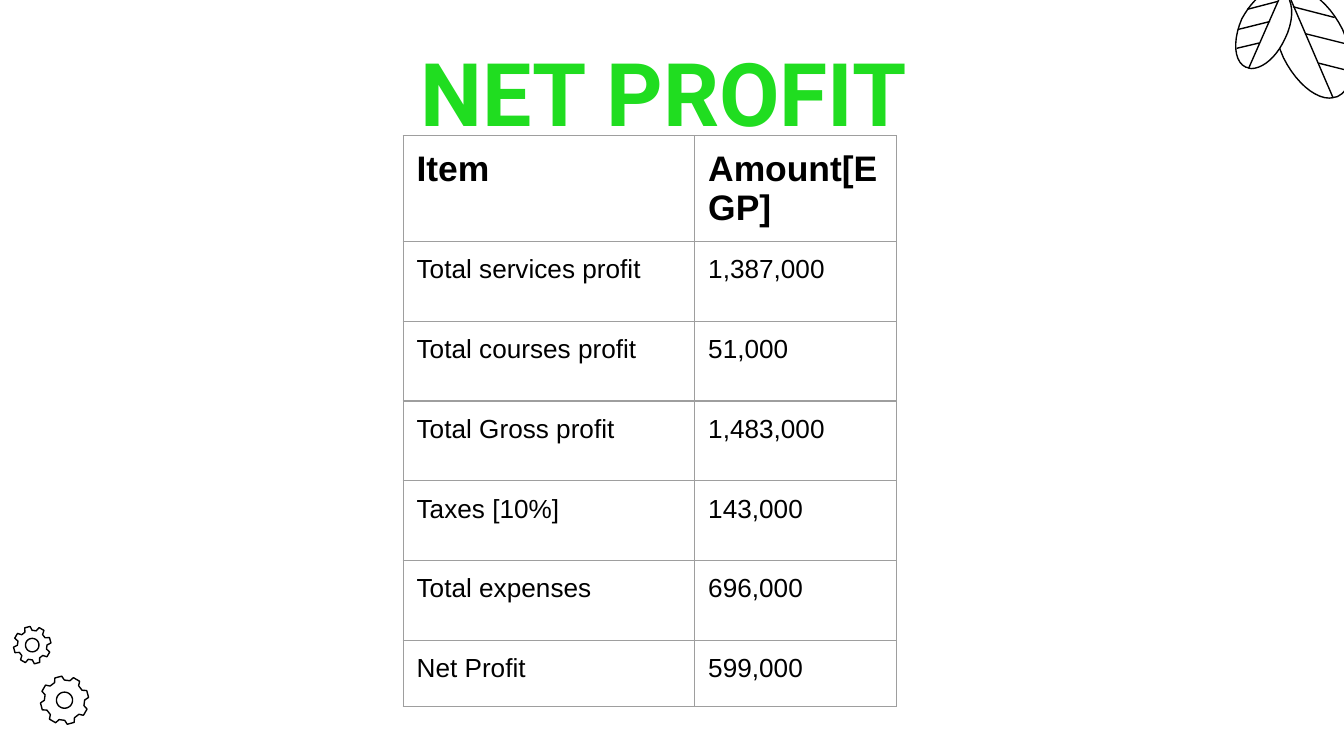
from math import cos, radians, sin

from lxml.etree import SubElement
from pptx import Presentation
from pptx.dml.color import RGBColor
from pptx.enum.shapes import MSO_CONNECTOR
from pptx.enum.text import MSO_ANCHOR, PP_ALIGN
from pptx.oxml.ns import qn
from pptx.util import Inches, Pt

# Content
TITLE = "NET PROFIT"
ROWS = [
    ("Item", "Amount[EGP]"),
    ("Total services profit", "1,387,000"),
    ("Total courses profit", "51,000"),
    ("Total Gross profit", "1,483,000"),
    ("Taxes [10%]", "143,000"),
    ("Total expenses", "696,000"),
    ("Net Profit", "599,000"),
]
COLUMN_WIDTHS = [2.17, 1.5]
ROW_HEIGHTS = [Inches(0.53)] + [Pt(42.75)] * 5 + [Inches(0.49)]
COLORS = {"title": "20DD20", "text": "000000", "border": "9E9E9E",
          "outline": "000000", "leaf": "FFFFFF"}

# Leaf outlines are a start point and Bezier curves; veins are point pairs
LEAVES = [
    {"start": (9.89, 0.73),
     "curves": [((9.91, 0.73), (9.94, 0.72), (9.95, 0.72)),
                ((10.08, 0.66), (10.09, 0.44), (9.99, 0.22)),
                ((9.9, 0.04), (9.76, -0.08), (9.65, -0.08)),
                ((9.63, -0.08), (9.61, -0.07), (9.59, -0.06)),
                ((9.46, 0), (9.45, 0.21), (9.55, 0.43)),
                ((9.64, 0.61), (9.78, 0.73), (9.89, 0.73))],
     "veins": [((9.62, 0.05), (9.93, 0.13)), ((9.71, 0.25), (10.03, 0.33)),
               ((9.81, 0.47), (10.05, 0.53)), ((9.92, 0.73), (9.58, -0.06))]},
    {"start": (9.31, 0.51),
     "curves": [((9.3, 0.51), (9.28, 0.5), (9.27, 0.5)),
                ((9.18, 0.46), (9.17, 0.3), (9.24, 0.14)),
                ((9.31, 0.01), (9.41, -0.08), (9.49, -0.08)),
                ((9.51, -0.08), (9.52, -0.07), (9.54, -0.07)),
                ((9.62, -0.02), (9.64, 0.13), (9.56, 0.29)),
                ((9.5, 0.42), (9.4, 0.51), (9.31, 0.51))],
     "veins": [((9.51, 0.01), (9.28, 0.07)), ((9.45, 0.16), (9.21, 0.22)),
               ((9.37, 0.32), (9.2, 0.36)), ((9.29, 0.51), (9.54, -0.06))]},
]
# Centre x, centre y, tip radius, root radius, hole radius
GEARS = [(0.48, 5.21, 0.18, 0.15, 0.06), (0.24, 4.8, 0.14, 0.11, 0.05)]
TEETH = 8


def rgb(name):
    return RGBColor.from_string(COLORS[name])


def style_run(run, font, size, color, bold):
    run.font.name = font
    run.font.size = Pt(size)
    run.font.bold = bold
    run.font.color.rgb = rgb(color)


def set_margins(frame):
    for side in ("left", "top", "right", "bottom"):
        setattr(frame, f"margin_{side}", Inches(0.1))


def curve_points(start, curves, steps=10):
    points = [start]
    for a, b, end in curves:
        first = points[-1]
        for step in range(1, steps + 1):
            t = step / steps
            u = 1 - t
            points.append(tuple(
                u**3 * p + 3 * u * u * t * q + 3 * u * t * t * r + t**3 * s
                for p, q, r, s in zip(first, a, b, end)))
    return points


def polar(x, y, radius, angle):
    return x + radius * cos(radians(angle)), y + radius * sin(radians(angle))


def draw_outline(shapes, contours, fill=None):
    builder = None
    for contour in contours:
        (x, y), *others = [(Inches(px), Inches(py)) for px, py in contour]
        if builder is None:
            builder = shapes.build_freeform(x, y, scale=1.0)
        else:
            builder.move_to(x, y)
        builder.add_line_segments(others, close=True)
    outline = builder.convert_to_shape()
    outline.shadow.inherit = False
    outline.line.color.rgb = rgb("outline")
    outline.line.width = Pt(0.75)
    if fill:
        outline.fill.solid()
        outline.fill.fore_color.rgb = rgb(fill)
    else:
        outline.fill.background()


def draw_vein(shapes, start, end):
    vein = shapes.add_connector(
        MSO_CONNECTOR.STRAIGHT, *[Inches(v) for v in start + end])
    vein.line.color.rgb = rgb("outline")
    vein.line.width = Pt(0.75)
    SubElement(vein._element.spPr, qn("a:effectLst"))


def add_borders(cell):
    properties = cell._tc.get_or_add_tcPr()
    for side in ("lnL", "lnR", "lnT", "lnB"):
        border = SubElement(properties, qn(f"a:{side}"), w=str(Pt(0.75)))
        fill = SubElement(border, qn("a:solidFill"))
        SubElement(fill, qn("a:srgbClr"), val=COLORS["border"])


def main():
    # Widescreen, 16 by 9
    prs = Presentation()
    prs.slide_width = Inches(10)
    prs.slide_height = prs.slide_width * 9 // 16
    slide = prs.slides.add_slide(prs.slide_layouts[5])
    shapes = slide.shapes

    # Leaves, top right
    for leaf in LEAVES:
        draw_outline(shapes, [curve_points(leaf["start"], leaf["curves"])], "leaf")
        for start, end in leaf["veins"]:
            draw_vein(shapes, start, end)

    # Gears, bottom left
    for x, y, tip, root, hole in GEARS:
        rim = [polar(x, y, radius, -105 + tooth * 360 / TEETH + offset)
               for tooth in range(TEETH)
               for radius, offset in ((root, -14.5), (tip, -8.5),
                                      (tip, 8.5), (root, 14.5))]
        bore = [polar(x, y, hole, angle) for angle in range(0, 360, 10)]
        draw_outline(shapes, [rim, bore])

    # Profit table
    table = shapes.add_table(
        len(ROWS), len(COLUMN_WIDTHS), Inches(3), Inches(1.01),
        Inches(sum(COLUMN_WIDTHS)), sum(ROW_HEIGHTS)).table
    table.first_row = table.horz_banding = False
    for column, width in zip(table.columns, COLUMN_WIDTHS):
        column.width = Inches(width)
    for r, (values, height) in enumerate(zip(ROWS, ROW_HEIGHTS)):
        table.rows[r].height = height
        header = r == 0
        for c, value in enumerate(values):
            cell = table.cell(r, c)
            set_margins(cell)
            add_borders(cell)
            cell.fill.background()
            run = cell.text_frame.paragraphs[0].add_run()
            run.text = value
            style_run(run, "Arial", 19 if header else 14, "text", header)

    # Title
    title = shapes.title
    title.left, title.top = Inches(2.19), Inches(0.28)
    title.width, title.height = Inches(5.5), Inches(0.8)
    frame = title.text_frame
    frame.word_wrap = True
    frame.vertical_anchor = MSO_ANCHOR.MIDDLE
    set_margins(frame)
    heading = frame.paragraphs[0]
    heading.alignment = PP_ALIGN.CENTER
    run = heading.add_run()
    run.text = TITLE
    style_run(run, "Roboto", 47, "title", True)

    prs.save("out.pptx")


if __name__ == "__main__":
    main()
